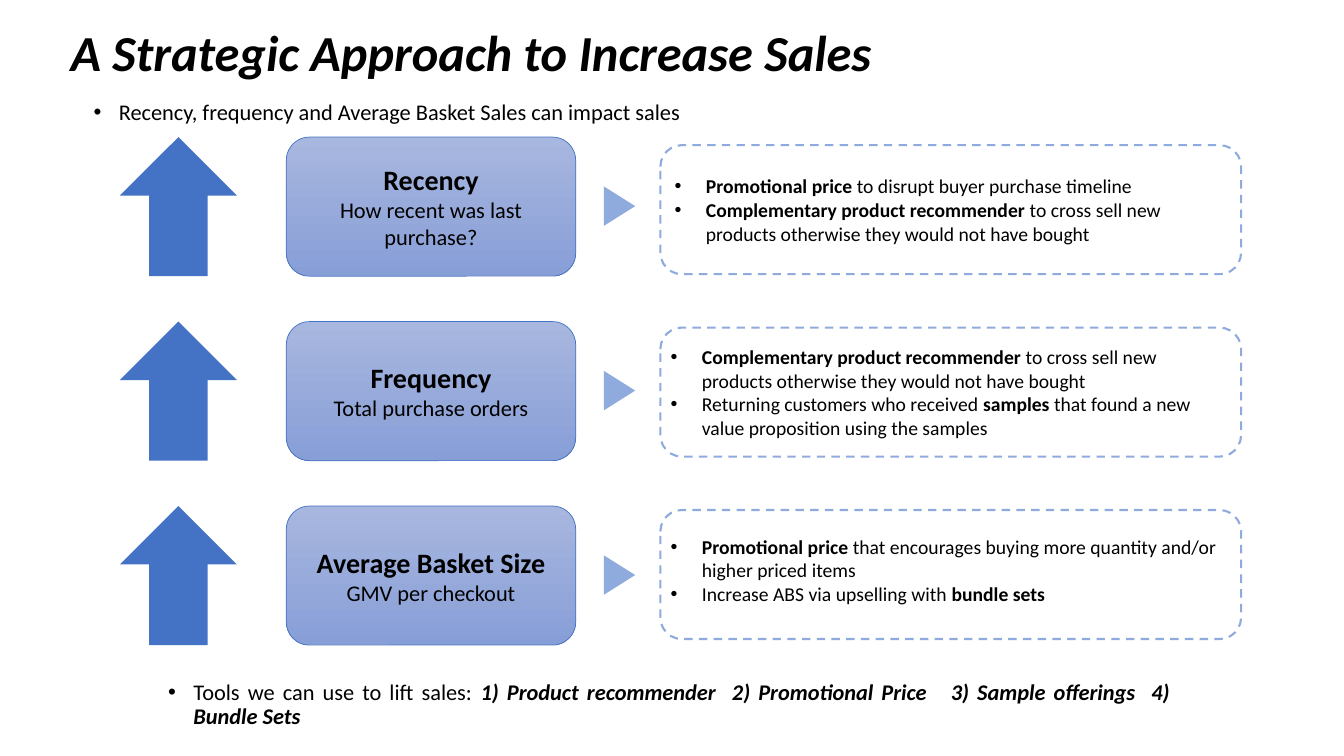
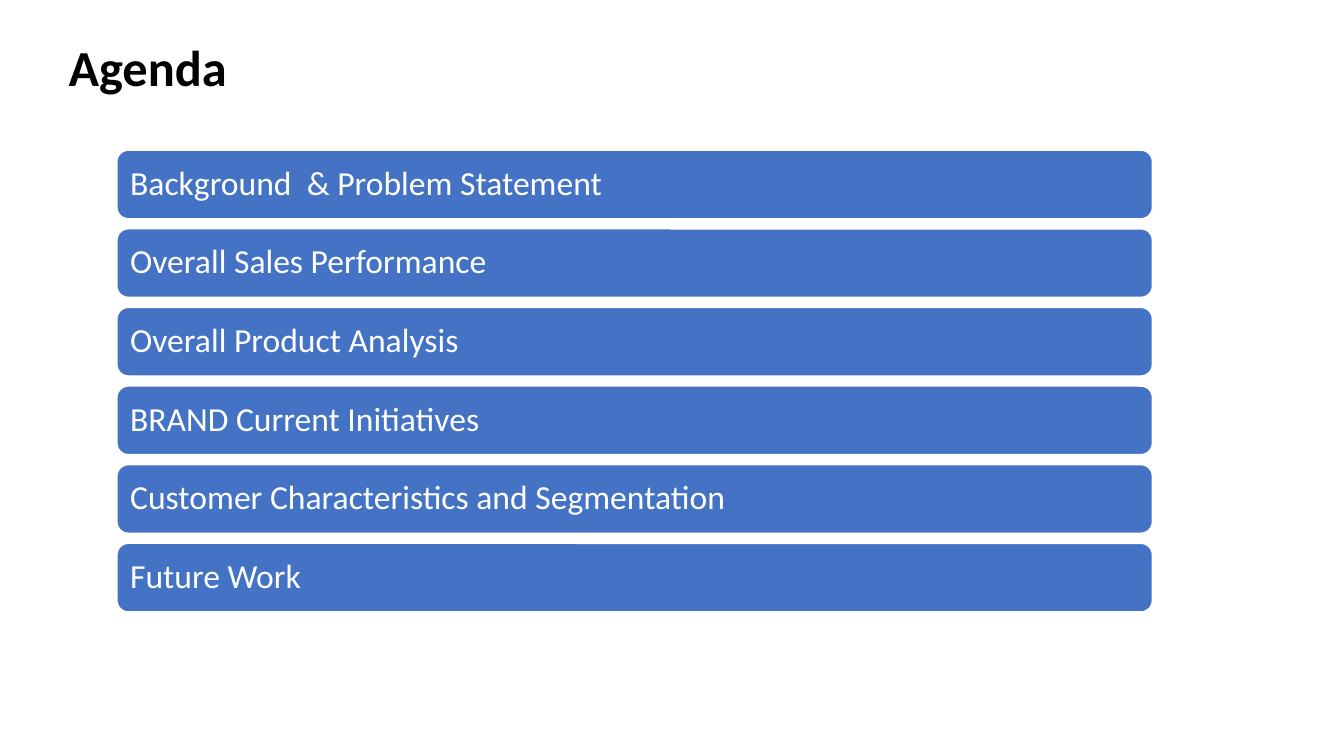
from lxml import etree
from pptx import Presentation
from pptx.dml.color import RGBColor
from pptx.enum.dml import MSO_LINE
from pptx.enum.shapes import MSO_SHAPE, MSO_SHAPE_TYPE
from pptx.enum.text import MSO_ANCHOR, MSO_AUTO_SIZE, PP_ALIGN
from pptx.oxml.ns import qn
from pptx.util import Inches, Pt

FONT = "Calibri"
BLACK, WHITE = "000000", "FFFFFF"
BLUE, LIGHT_BLUE = "4472C4", "8FAADC"
PANEL_TOP, PANEL_BOTTOM = "A8B7DF", "889ED7"


def rgb(value):
    return RGBColor.from_string(value)


def write(para, spans, size, color=BLACK, align=PP_ALIGN.LEFT, indent=0):
    """Fill a paragraph; spans are (text, bold) pairs, an indent adds a bullet."""
    if indent:
        props = para._p.get_or_add_pPr()
        props.set("marL", str(Inches(indent)))
        props.set("indent", str(-Inches(indent)))
        etree.SubElement(props, qn("a:buFont"), typeface="Arial")
        etree.SubElement(props, qn("a:buChar"), char="•")
    para.alignment = align
    para.font.name = FONT
    para.font.size = Pt(size)
    para.font.color.rgb = rgb(color)
    for text, bold in spans:
        span = para.add_run()
        span.text = text
        span.font.bold = bold


deck = Presentation()
deck.slide_width, deck.slide_height = Inches(13.33), Inches(7.5)

pages = []
for text, left, top, italic in [
    ("A Strategic Approach to Increase Sales", 0.6, 0.25, True),
    ("Agenda", 0.58, 0.4, False),
]:
    page = deck.slides.add_slide(deck.slide_layouts[5])
    title = page.shapes.title
    title.left, title.top = Inches(left), Inches(top)
    title.width, title.height = Inches(11.5), Inches(0.59)
    title.text_frame.auto_size = MSO_AUTO_SIZE.NONE
    title.text_frame.vertical_anchor = MSO_ANCHOR.MIDDLE
    para = title.text_frame.paragraphs[0]
    write(para, [(text, True)], 36)
    para.font.italic = italic
    para.line_spacing = 0.9
    pages.append(page)
strategy, agenda = pages

# Strategy: opening and closing bullets
for left, top, width, spans in [
    (0.83, 0.95, 11.42,
     [("Recency, frequency and Average Basket Sales can impact sales", False)]),
    (1.57, 6.71, 10.14,
     [("Tools we can use to lift sales: ", False),
      ("1) Product recommender  2) Promotional Price   3) Sample offerings  4) Bundle Sets", True)]),
]:
    box = strategy.shapes.add_textbox(Inches(left), Inches(top), Inches(width), Inches(0.48))
    box.text_frame.word_wrap = True
    para = box.text_frame.paragraphs[0]
    write(para, spans, 16, align=PP_ALIGN.JUSTIFY, indent=0.25)
    para.line_spacing = 0.9
    for span in para.runs:
        span.font.italic = span.font.bold

# Strategy: one row per sales driver
recommender = [("Complementary product recommender ", True),
               ("to cross sell new products otherwise they would not have bought", False)]
drivers = [
    ("Recency", "How recent was last purchase?", 0.08, 0.05, [
        [("Promotional price ", True), ("to disrupt buyer purchase timeline", False)],
        recommender]),
    ("Frequency", "Total purchase orders", 0.04, 0.05, [
        recommender,
        [("Returning customers who received ", False), ("samples", True),
         (" that found a new value proposition using the samples", False)]]),
    ("Average Basket Size", "GMV per checkout", 0.04, 0.14, [
        [("Promotional price ", True),
         ("that encourages buying more quantity and/or higher priced items", False)],
        [("Increase ABS via upselling with ", False), ("bundle sets", True)]]),
]
for row, (name, question, left_margin, bottom_margin, actions) in enumerate(drivers):
    top = 1.36 + 1.83 * row

    arrow = strategy.shapes.add_shape(
        MSO_SHAPE.UP_ARROW, Inches(1.19), Inches(top), Inches(1.16), Inches(1.38))
    pointer = strategy.shapes.add_shape(
        MSO_SHAPE.ISOSCELES_TRIANGLE, Inches(5.95), Inches(top + 0.53), Inches(0.39), Inches(0.31))
    pointer.rotation = 90
    for shape, color in [(arrow, BLUE), (pointer, LIGHT_BLUE)]:
        shape.fill.solid()
        shape.fill.fore_color.rgb = rgb(color)
        shape.line.fill.background()

    panel = strategy.shapes.add_shape(
        MSO_SHAPE.ROUNDED_RECTANGLE, Inches(2.84), Inches(top), Inches(2.87), Inches(1.38))
    panel.fill.gradient()
    panel.fill.gradient_angle = 270
    for stop, color in zip(panel.fill.gradient_stops, [PANEL_TOP, PANEL_BOTTOM]):
        stop.color.rgb = rgb(color)
    panel.line.color.rgb = rgb(BLUE)
    panel.line.width = Pt(0.5)
    write(panel.text_frame.paragraphs[0], [(name, True)], 20, align=PP_ALIGN.CENTER)
    write(panel.text_frame.add_paragraph(), [(question, False)], 16, align=PP_ALIGN.CENTER)

    outline = strategy.shapes.add_shape(
        MSO_SHAPE.ROUNDED_RECTANGLE, Inches(6.55), Inches(1.44 + 1.81 * row),
        Inches(5.76), Inches(1.28))
    outline.fill.background()
    outline.line.color.rgb = rgb(LIGHT_BLUE)
    outline.line.width = Pt(1.5)
    outline.line.dash_style = MSO_LINE.DASH
    frame = outline.text_frame
    frame.margin_left = Inches(left_margin)
    frame.margin_right = Inches(0.12 - left_margin)
    frame.margin_bottom = Inches(bottom_margin)
    for number, spans in enumerate(actions):
        para = frame.add_paragraph() if number else frame.paragraphs[0]
        write(para, spans, 14, indent=0.31)

# Agenda: one bar per topic
topics = [
    "Background  & Problem Statement",
    "Overall Sales Performance",
    "Overall Product Analysis",
    "BRAND Current Initiatives",
    "Customer Characteristics and Segmentation",
    "Future Work",
]
for row, topic in enumerate(topics):
    bar = agenda.shapes.add_shape(
        MSO_SHAPE.ROUNDED_RECTANGLE, Inches(1.16), Inches(1.49 + 0.78 * row),
        Inches(10.27), Inches(0.68))
    bar.fill.solid()
    bar.fill.fore_color.rgb = rgb(BLUE)
    bar.line.color.rgb = rgb(WHITE)
    bar.line.width = Pt(1)
    para = bar.text_frame.paragraphs[0]
    write(para, [(topic, False)], 24, color=WHITE)
    para.line_spacing = 0.9

for page in pages:
    for shape in page.shapes:
        if shape.shape_type == MSO_SHAPE_TYPE.AUTO_SHAPE:
            shape.shadow.inherit = False

deck.save("out.pptx")
